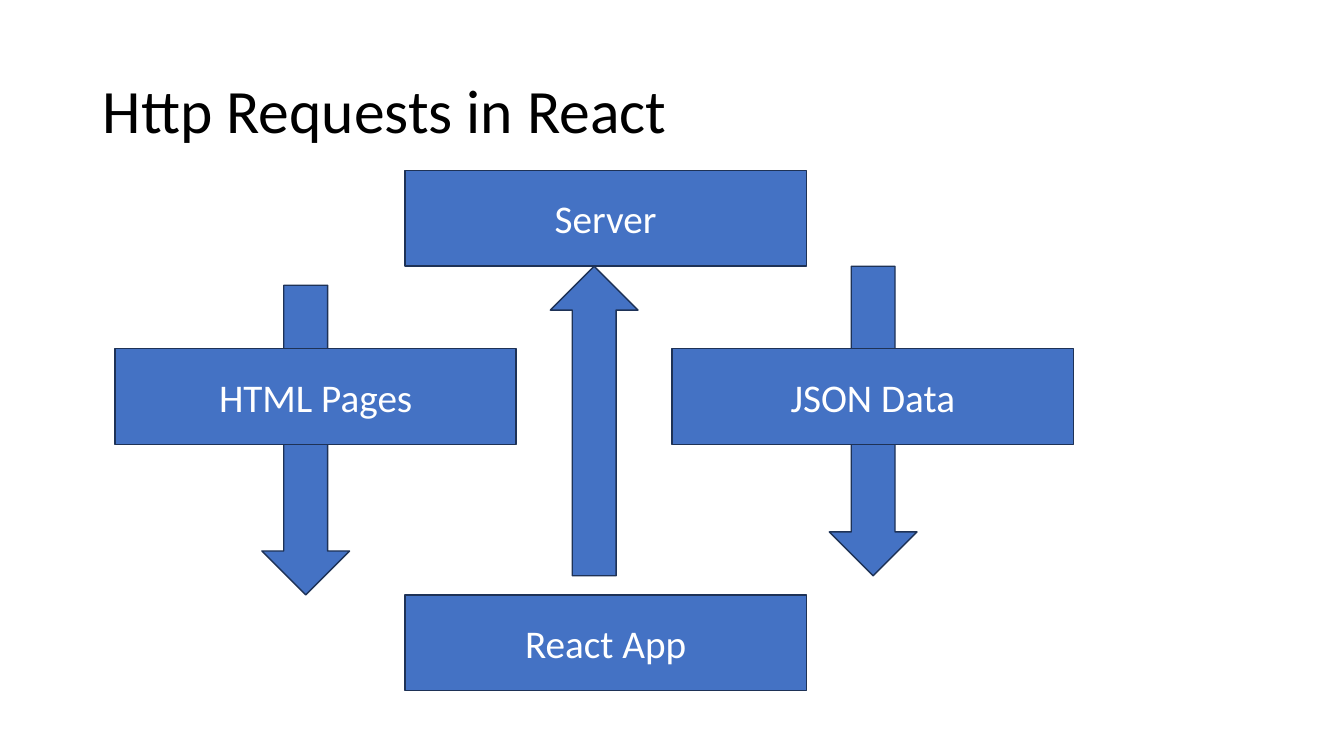
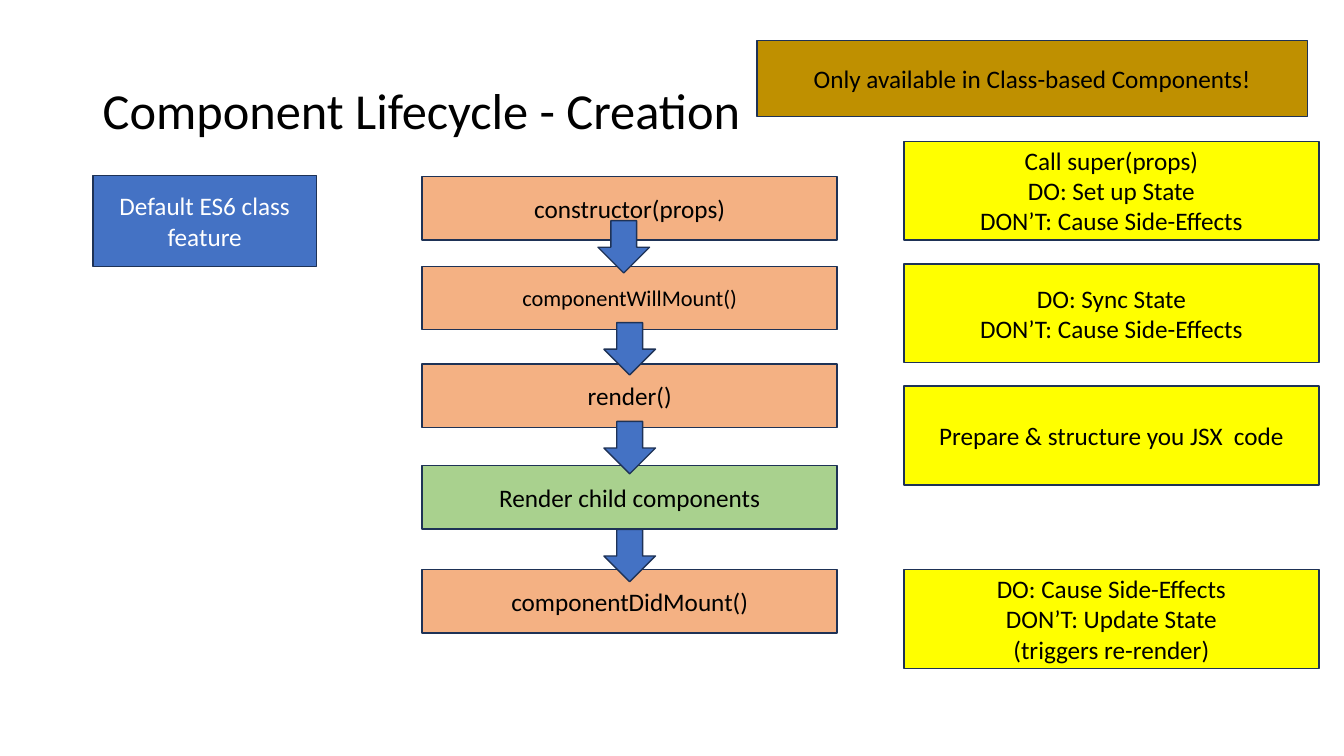
"""Build two slides on React: HTTP requests and the component creation lifecycle."""
from pptx import Presentation
from pptx.dml.color import RGBColor
from pptx.enum.shapes import MSO_SHAPE
from pptx.enum.text import MSO_ANCHOR, PP_ALIGN
from pptx.util import Cm, Pt

RECTANGLE = MSO_SHAPE.RECTANGLE
DOWN_ARROW = MSO_SHAPE.DOWN_ARROW
UP_ARROW = MSO_SHAPE.UP_ARROW
MIDDLE = MSO_ANCHOR.MIDDLE
CENTER = PP_ALIGN.CENTER
LEFT = PP_ALIGN.LEFT

BLUE = RGBColor(0x44, 0x72, 0xC4)
NAVY = RGBColor(0x1E, 0x32, 0x56)
GOLD = RGBColor(0xBF, 0x90, 0x00)
ORANGE = RGBColor(0xF4, 0xB1, 0x83)
GREEN = RGBColor(0xA9, 0xD1, 0x8E)
YELLOW = RGBColor(0xFF, 0xFF, 0x00)
BLACK = RGBColor(0, 0, 0)
WHITE = RGBColor(0xFF, 0xFF, 0xFF)
FONT = "Calibri"

REQUESTS_TITLE = "Http Requests in React"
NODE_SIZE = (10.11, 2.41)
NODES = [
    ("React App", 10.21, 14.99),
    ("Server", 10.21, 4.29),
    ("HTML Pages", 2.9, 8.79),
    ("JSON Data", 16.94, 8.79),
]
FLOW_SIZE = (2.21, 7.8)
RESPONSES = [(20.9, 6.71), (6.6, 7.19)]
REQUEST = (13.87, 6.71)

LIFECYCLE_TITLE = "Component Lifecycle - Creation"
BANNER = "Only available in Class-based Components!"
ES6_FEATURE = "Default ES6 class feature"
STEP_LEFT, STEP_SIZE = 10.64, (10.46, 1.6)
STEPS = [
    ("constructor(props)", 4.45, ORANGE, 18),
    ("componentWillMount()", 6.71, ORANGE, 16),
    ("render()", 9.17, ORANGE, 18),
    ("Render child components", 11.73, GREEN, 18),
    ("componentDidMount()", 14.35, ORANGE, 18),
]
NOTE_LEFT, NOTE_SIZE = 22.78, (10.46, 2.49)
NOTES = [
    (["Call super(props)", "DO: Set up State", "DON’T: Cause Side-Effects"], 3.56),
    (["DO: Sync State", "DON’T: Cause Side-Effects"], 6.65),
    (["Prepare & structure you JSX  code"], 9.73),
    (["DO: Cause Side-Effects", "DON’T: Update State", "(triggers re-render)"], 14.35),
]
NEXT_SIZE = (1.3, 1.32)
NEXT_ARROWS = [(-0.15, 5.56), (0, 8.13), (0, 10.62), (0, 13.34)]


def write(frame, lines, size, color, align):
    frame.word_wrap = True
    frame.vertical_anchor = MIDDLE
    for number, line in enumerate(lines):
        paragraph = frame.add_paragraph() if number else frame.paragraphs[0]
        paragraph.alignment = align
        run = paragraph.add_run()
        run.text = line
        run.font.name = FONT
        run.font.size = Pt(size)
        run.font.color.rgb = color


def add_block(slide, preset, left, top, extent, fill=BLUE):
    block = slide.shapes.add_shape(preset, *map(Cm, (left, top, *extent)))
    block.shadow.inherit = False
    block.fill.solid()
    block.fill.fore_color.rgb = fill
    block.line.color.rgb = NAVY
    block.line.width = Pt(1)
    return block


def add_box(slide, lines, left, top, extent, fill=BLUE, size=18, color=BLACK):
    box = add_block(slide, RECTANGLE, left, top, extent, fill)
    write(box.text_frame, lines, size, color, CENTER)


def add_title(slide, title, size):
    frame = slide.shapes.add_textbox(Cm(2.34), Cm(1.02), Cm(29.21), Cm(3.68)).text_frame
    write(frame, [title], size, BLACK, LEFT)
    frame.paragraphs[0].line_spacing = 0.9


def build_requests(slide):
    for left, top in RESPONSES:
        add_block(slide, DOWN_ARROW, left, top, FLOW_SIZE)
    add_title(slide, REQUESTS_TITLE, 44)
    for label, left, top in NODES:
        add_box(slide, [label], left, top, NODE_SIZE, size=28, color=WHITE)
    add_block(slide, UP_ARROW, *REQUEST, FLOW_SIZE)


def build_lifecycle(slide):
    add_title(slide, LIFECYCLE_TITLE, 36)
    add_box(slide, [BANNER], 19.08, 1.02, (13.87, 1.91), GOLD)
    add_box(slide, [ES6_FEATURE], 2.34, 4.42, (5.64, 2.29), color=WHITE)
    for label, top, fill, size in STEPS:
        add_box(slide, [label], STEP_LEFT, top, STEP_SIZE, fill, size)
    for lines, top in NOTES:
        add_box(slide, lines, NOTE_LEFT, top, NOTE_SIZE, YELLOW)
    arrow_left = STEP_LEFT + (STEP_SIZE[0] - NEXT_SIZE[0]) / 2
    for shift, top in NEXT_ARROWS:
        add_block(slide, DOWN_ARROW, arrow_left + shift, top, NEXT_SIZE)


deck = Presentation()
deck.slide_width, deck.slide_height = Cm(33.87), Cm(19.05)
blank = deck.slide_layouts[6]
for build in (build_requests, build_lifecycle):
    build(deck.slides.add_slide(blank))
deck.save("out.pptx")
